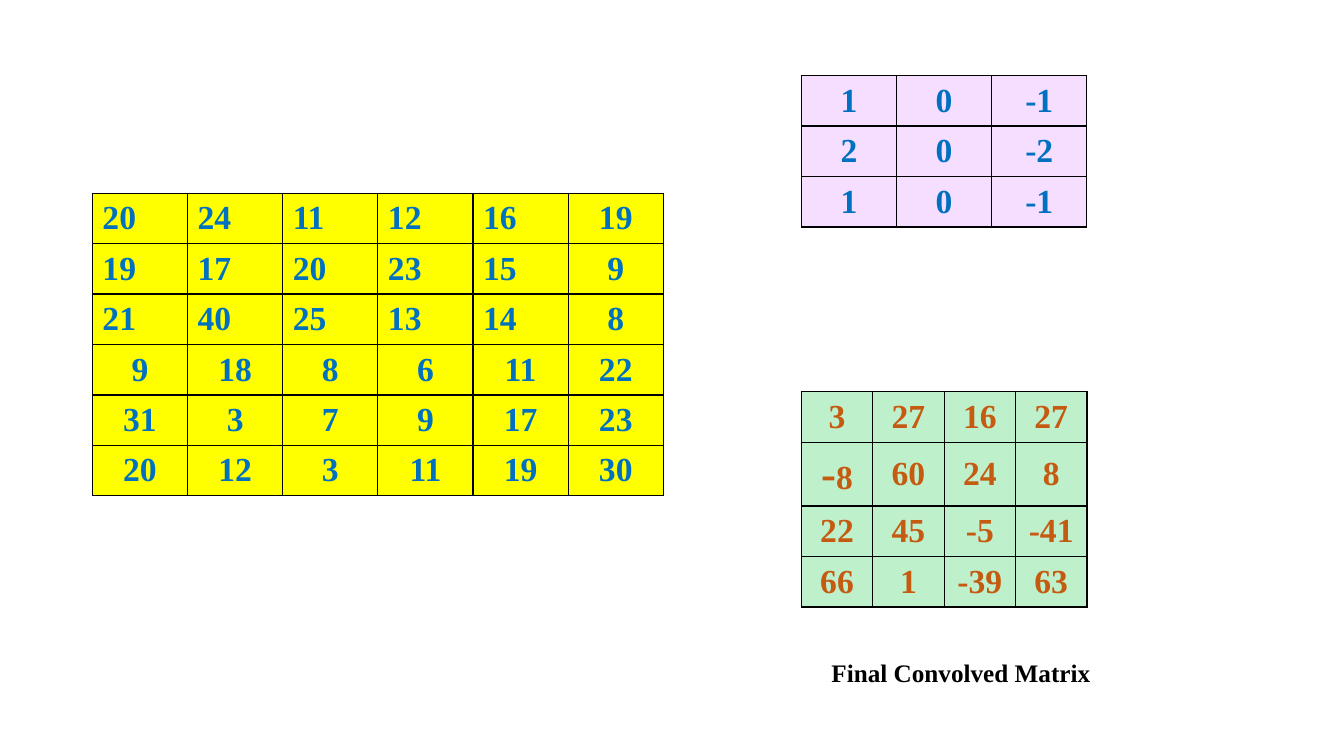
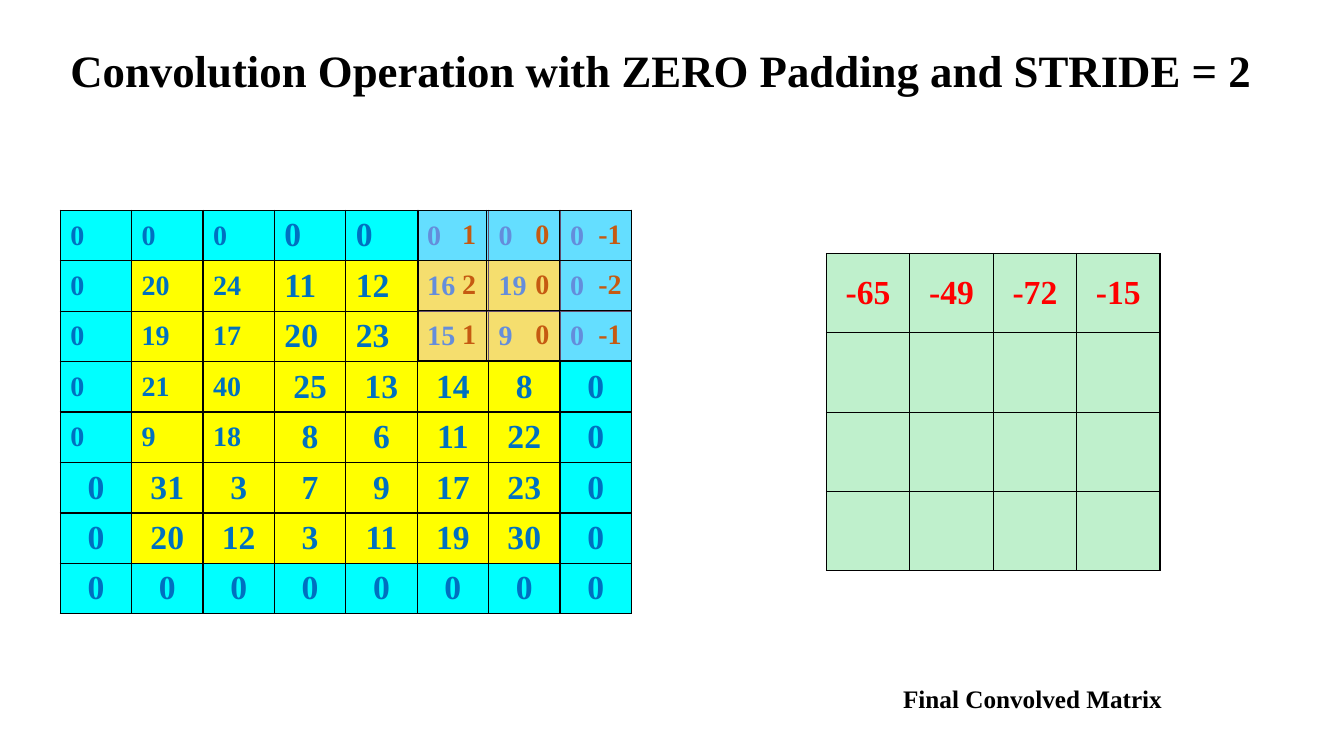
"""Build two slides on convolution of a matrix with a kernel."""
from lxml.etree import SubElement
from pptx import Presentation
from pptx.dml.color import RGBColor
from pptx.enum.text import MSO_ANCHOR, PP_ALIGN
from pptx.oxml.ns import qn
from pptx.util import Pt

FONT = "Times New Roman"
BLACK = RGBColor(0x00, 0x00, 0x00)
BLUE = RGBColor(0x00, 0x70, 0xC0)
ORANGE = RGBColor(0xC5, 0x5A, 0x11)
RED = RGBColor(0xFF, 0x00, 0x00)
YELLOW = RGBColor(0xFF, 0xFF, 0x00)
CYAN = RGBColor(0x00, 0xFF, 0xFF)
GREEN = RGBColor(0x6B, 0xDE, 0x8A)
LILAC = RGBColor(0xE8, 0xB4, 0xFF)
LEFT, CENTER, RIGHT = PP_ALIGN.LEFT, PP_ALIGN.CENTER, PP_ALIGN.RIGHT

IMAGE = [
    [20, 24, 11, 12, 16, 19],
    [19, 17, 20, 23, 15, 9],
    [21, 40, 25, 13, 14, 8],
    [9, 18, 8, 6, 11, 22],
    [31, 3, 7, 9, 17, 23],
    [20, 12, 3, 11, 19, 30],
]
KERNEL = [[1, 0, -1], [2, 0, -2], [1, 0, -1]]
CONVOLVED = [[3, 27, 16, 27], [-8, 60, 24, 8], [22, 45, -5, -41], [66, 1, -39, 63]]
STRIDED = [[-65, -49, -72, -15]] + [[""] * 4] * 3
PADDED = [[0] * 8] + [[0, *row, 0] for row in IMAGE] + [[0] * 8]


def style_text(p, text, size, color=BLACK, align=LEFT):
    p.text = text
    p.alignment = align
    p.font.name = FONT
    p.font.size = Pt(size)
    p.font.bold = True
    p.font.color.rgb = color


def add_matrix(s, values, left, top, widths, height, fill, color, size=24, align=CENTER, alpha=None):
    frame = s.shapes.add_table(len(values), len(widths), Pt(left), Pt(top),
                               Pt(sum(widths)), Pt(height * len(values)))
    table = frame.table
    table.first_row = table.horz_banding = False
    for column, width in zip(table.columns, widths):
        column.width = Pt(width)
    for i, row in enumerate(values):
        table.rows[i].height = Pt(height)
        for j, value in enumerate(row):
            cell = table.cell(i, j)
            cell.vertical_anchor = MSO_ANCHOR.MIDDLE
            tc_pr = cell._tc.get_or_add_tcPr()
            for side in ("lnL", "lnR", "lnT", "lnB"):
                ln = SubElement(tc_pr, qn(f"a:{side}"), w=str(Pt(1)))
                line_fill = SubElement(ln, qn("a:solidFill"))
                SubElement(line_fill, qn("a:srgbClr"), val=str(BLACK))
            cell.fill.solid()
            cell.fill.fore_color.rgb = fill
            if alpha:
                clr = tc_pr.find(qn("a:solidFill")).find(qn("a:srgbClr"))
                SubElement(clr, qn("a:alpha"), val=str(alpha * 1000))
            if value != "":
                style_text(cell.text_frame.paragraphs[0], str(value), size, color, align)
    return table


prs = Presentation()
prs.slide_width, prs.slide_height = Pt(960), Pt(540)
s1 = prs.slides.add_slide(prs.slide_layouts[6])
s2 = prs.slides.add_slide(prs.slide_layouts[5])

for s, left, top in ((s1, 586.8, 466), (s2, 638, 484.6)):
    tf = s.shapes.add_textbox(Pt(left), Pt(top), Pt(204), Pt(29)).text_frame
    tf.word_wrap = True
    style_text(tf.paragraphs[0], "Final Convolved Matrix", 18)

image = add_matrix(s1, IMAGE, 66, 138, [68] * 6, 34, YELLOW, BLUE)
for i in range(3):
    for j in range(5):
        image.cell(i, j).text_frame.paragraphs[0].alignment = LEFT

convolved = add_matrix(s1, CONVOLVED, 572.4, 279.8, [51] * 4, 34, GREEN, ORANGE, alpha=43)
p = convolved.cell(1, 0).text_frame.paragraphs[0]
p.runs[0].text = "-"
p.runs[0].font.size = Pt(32)
p.add_run().text = "8"

add_matrix(s1, KERNEL, 572.4, 54, [68] * 3, 34, LILAC, BLUE, alpha=43)

title = s2.shapes.title
title.left, title.top, title.width, title.height = Pt(43), Pt(26.8), Pt(897), Pt(46)
title.text_frame.vertical_anchor = MSO_ANCHOR.TOP
style_text(title.text_frame.paragraphs[0],
           "Convolution Operation with ZERO Padding and STRIDE = 2", 32)

padded = add_matrix(s2, PADDED, 43, 150.2, [51] * 8, 34, CYAN, BLUE)
for i in range(8):
    for j in range(8):
        cell = padded.cell(i, j)
        p = cell.text_frame.paragraphs[0]
        if 0 < i < 7 and 0 < j < 7:
            cell.fill.fore_color.rgb = YELLOW
        if i < 3 or (i < 5 and j < 3):
            p.alignment = LEFT
            if j not in (3, 4):
                p.font.size = Pt(20)

add_matrix(s2, KERNEL, 298.7, 150.2, [48.6, 52.4, 51.6], 35.7, LILAC, ORANGE, 20, RIGHT, 43)
add_matrix(s2, STRIDED, 590.3, 181, [59.6] * 4, 56.7, GREEN, RED, alpha=43)

prs.save("out.pptx")
